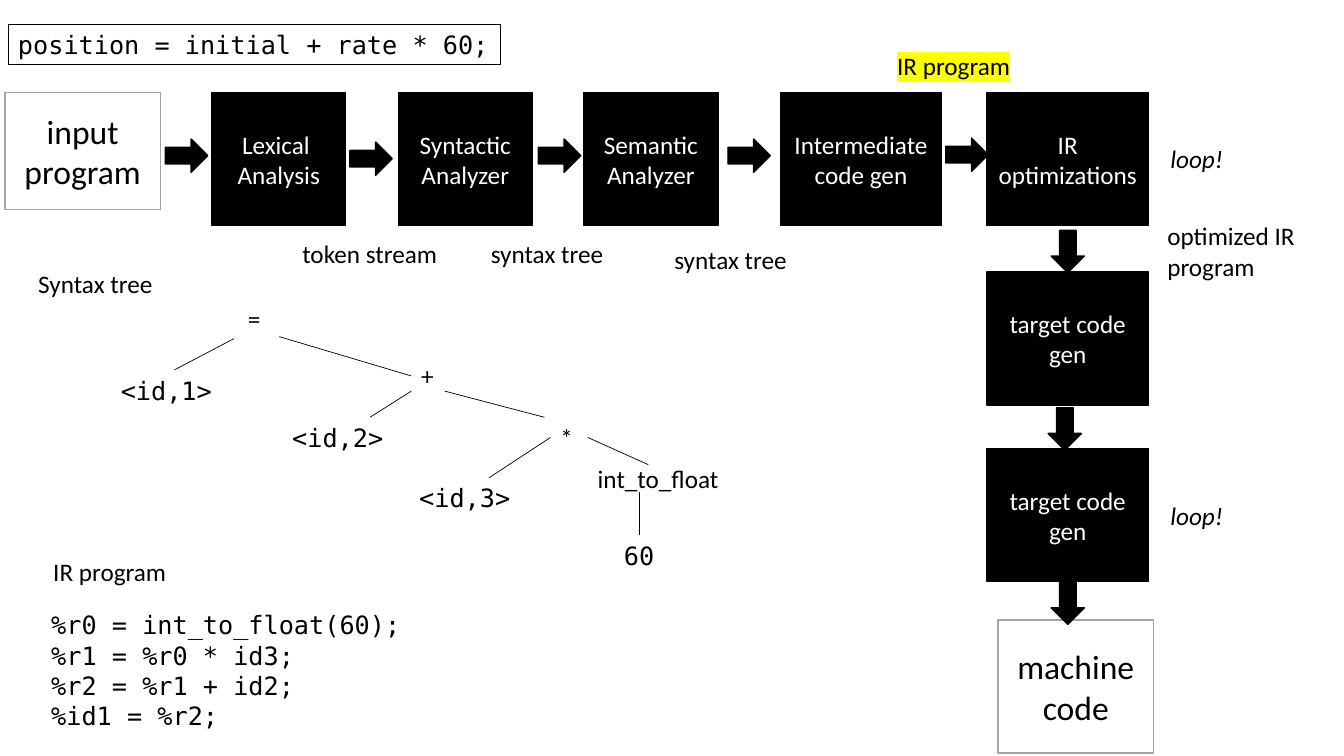
from dataclasses import dataclass

from lxml import etree
from pptx import Presentation
from pptx.dml.color import RGBColor
from pptx.enum import shapes, text
from pptx.oxml import ns
from pptx.util import Inches, Pt


@dataclass(frozen=True)
class Theme:
    """Colours, fonts and sizes of the slide."""
    ink: str = "000000"
    paper: str = "FFFFFF"
    frame: str = "A5A5A5"
    marker: str = "FFFF00"
    sans: str = "Calibri"
    mono: str = "DejaVu Sans Mono"
    body: int = 18
    large: int = 24


THEME = Theme()
ROW_TOP, STAGE_HEIGHT, STAGE_WIDTH, WIDE_STAGE = 0.92, 1.32, 1.33, 1.6
COLUMN_LEFT = 9.79

STAGES = [
    (2.1, ROW_TOP, STAGE_WIDTH, "Lexical \nAnalysis"),
    (3.95, ROW_TOP, STAGE_WIDTH, "Syntactic Analyzer"),
    (5.79, ROW_TOP, STAGE_WIDTH, "Semantic Analyzer"),
    (7.74, ROW_TOP, WIDE_STAGE, "Intermediate code gen"),
    (COLUMN_LEFT, ROW_TOP, WIDE_STAGE, "IR optimizations"),
    (COLUMN_LEFT, 2.7, WIDE_STAGE, "target code gen"),
    (COLUMN_LEFT, 4.45, WIDE_STAGE, "target code gen"),
]
ENDPOINTS = [(0.05, ROW_TOP, 1.16, "input program"),
             (9.9, 6.15, STAGE_HEIGHT, "machine code")]
ARROWS = [
    (1.64, 1.38, 0), (3.47, 1.41, 0), (5.34, 1.38, 0), (7.22, 1.38, 0),
    (9.38, 1.37, 0), (10.38, 2.33, 90), (10.35, 4.09, 90), (10.38, 5.82, 90),
]
LABELS = [
    (2.9, 2.32, 1.55, "token stream"),
    (4.77, 2.32, 1.33, "syntax tree"),
    (6.59, 2.37, 1.33, "syntax tree"),
    (0.28, 2.61, 1.35, "Syntax tree"),
    (0.43, 5.47, 1.33, "IR program"),
]
NODES = {
    "=": (2.36, 2.96, 0.33, THEME.sans),
    "+": (4.08, 3.53, 0.33, THEME.sans),
    "*": (5.46, 4.14, 0.33, THEME.sans),
    "int_to_float": (5.83, 4.55, 1.41, THEME.sans),
    "<id,1>": (1.1, 3.67, 1.26, THEME.mono),
    "<id,2>": (2.8, 4.14, 1.26, THEME.mono),
    "<id,3>": (4.06, 4.74, 1.26, THEME.mono),
    "60": (6.09, 5.31, 0.5, THEME.mono),
}
BRANCHES = [
    ((2.32, 3.36), (1.73, 3.67), None, ("<id,1>", 0)),
    ((2.77, 3.34), (4.08, 3.74), None, ("+", 1)),
    ((4.08, 3.88), (3.67, 4.14), None, None),
    ((4.41, 3.88), (5.4, 4.14), None, None),
    ((5.46, 4.34), (4.85, 4.74), ("*", 1), None),
    ((5.83, 4.34), (6.43, 4.61), None, None),
    ((6.34, 4.88), (6.34, 5.31), None, ("60", 0)),
]


def colour(code):
    """Turn a hex code into a colour."""
    return RGBColor.from_string(code)


def write(para, wording, size=THEME.body, font=THEME.sans, ink=THEME.ink,
          italic=False, marker=None):
    """Add runs to a paragraph, with a line break at each newline."""
    for index, line in enumerate(wording.split("\n")):
        if index:
            para.add_line_break()
        span = para.add_run()
        span.text = line
        span.font.size = Pt(size)
        span.font.italic = italic
        span.font.color.rgb = colour(ink)
        if marker:
            highlight = etree.SubElement(span.font._element, ns.qn("a:highlight"))
            etree.SubElement(highlight, ns.qn("a:srgbClr"), val=marker)
        span.font.name = font


def add_block(page, kind, left, top, width, height, fill, line, weight=1):
    """Add a preset shape with a plain fill and outline."""
    block = page.shapes.add_shape(
        kind, Inches(left), Inches(top), Inches(width), Inches(height))
    block.shadow.inherit = False
    if fill:
        block.fill.solid()
        block.fill.fore_color.rgb = colour(fill)
    else:
        block.fill.background()
    block.line.color.rgb = colour(line)
    block.line.width = Pt(weight)
    return block


def add_box(page, left, top, width, height, fill, line, wording, size, ink):
    """Add a rectangle with centred wording."""
    box = add_block(page, shapes.MSO_SHAPE.RECTANGLE,
                    left, top, width, height, fill, line)
    box.text_frame.vertical_anchor = text.MSO_ANCHOR.MIDDLE
    para = box.text_frame.paragraphs[0]
    para.alignment = text.PP_ALIGN.CENTER
    write(para, wording, size, ink=ink)


def add_arrow(page, left, top, angle):
    """Add a block arrow turned by the angle."""
    arrow = add_block(page, shapes.MSO_SHAPE.RIGHT_ARROW,
                      left, top, 0.42, 0.33, THEME.ink, THEME.ink)
    arrow.rotation = angle


def fit(box):
    """Let a box hug its unwrapped text."""
    box.text_frame.word_wrap = False
    box.text_frame.auto_size = text.MSO_AUTO_SIZE.SHAPE_TO_FIT_TEXT


def add_label(page, left, top, width, *wordings, height=0.4, **style):
    """Add a text box with one paragraph for each wording."""
    box = page.shapes.add_textbox(
        Inches(left), Inches(top), Inches(width), Inches(height))
    fit(box)
    frame = box.text_frame
    for index, wording in enumerate(wordings):
        para = frame.add_paragraph() if index else frame.paragraphs[0]
        write(para, wording, **style)
    return box


def add_statement(page):
    """Add the outlined source statement."""
    box = add_block(page, shapes.MSO_SHAPE.RECTANGLE,
                    0.08, 0.24, 4.88, 0.4, None, THEME.ink, 0.75)
    fit(box)
    box.text_frame.vertical_anchor = text.MSO_ANCHOR.TOP
    para = box.text_frame.paragraphs[0]
    para.alignment = text.PP_ALIGN.LEFT
    write(para, "position = initial + rate * 60;", font=THEME.mono)


def add_branch(page, start, end, source, target, nodes):
    """Draw a tree branch and join it to the nodes it touches."""
    branch = page.shapes.add_connector(
        shapes.MSO_CONNECTOR.STRAIGHT, *map(Inches, start + end))
    branch.line.color.rgb = colour(THEME.ink)
    branch.line.width = Pt(0.5)
    etree.SubElement(branch._element.spPr, ns.qn("a:effectLst"))
    if source:
        branch.begin_connect(nodes[source[0]], source[1])
    if target:
        branch.end_connect(nodes[target[0]], target[1])


def add_tree(page):
    """Draw the syntax tree."""
    nodes = {name: add_label(page, left, top, width, name, font=font)
             for name, (left, top, width, font) in NODES.items()}
    for branch in BRANCHES:
        add_branch(page, *branch, nodes)


def main():
    """Build the compiler pipeline slide."""
    deck = Presentation()
    deck.slide_width, deck.slide_height = Inches(13.33), Inches(7.5)
    page = deck.slides.add_slide(deck.slide_layouts[6])
    for left, top, width, wording in STAGES:
        add_box(page, left, top, width, STAGE_HEIGHT, THEME.ink, THEME.ink,
                wording, THEME.body, THEME.paper)
    for left, top, height, wording in ENDPOINTS:
        add_box(page, left, top, 1.54, height, THEME.paper, THEME.frame,
                wording, THEME.large, THEME.ink)
    for arrow in ARROWS:
        add_arrow(page, *arrow)
    for label in LABELS:
        add_label(page, *label)
    for top in (1.37, 4.91):
        add_label(page, 11.51, top, 0.74, "loop!", italic=True)
    add_label(page, 8.8, 0.45, 1.33, "IR program", marker=THEME.marker)
    add_label(page, 11.48, 2.14, 1.54, "optimized IR \nprogram", height=0.71)
    add_tree(page)
    add_statement(page)
    add_label(page, 0.41, 6, 3.67,
              "%r0 = int_to_float(60);\n%r1 = %r0 * id3;\n%r2 = %r1 + id2;",
              "%id1 = %r2;", height=1.31, font=THEME.mono)
    deck.save("out.pptx")


if __name__ == "__main__":
    main()
